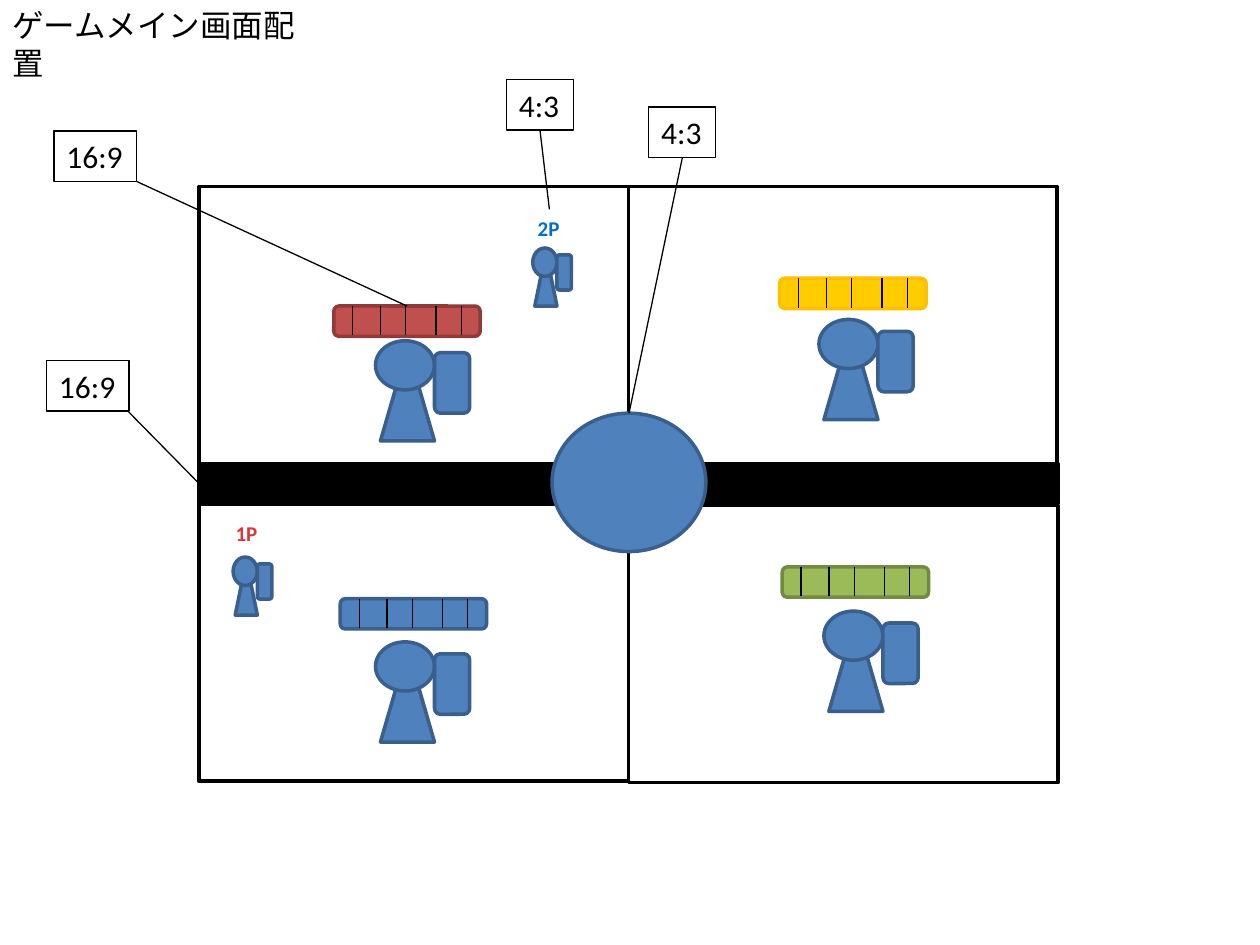
from pptx import Presentation
from pptx.dml.color import RGBColor
from pptx.enum.shapes import MSO_CONNECTOR, MSO_SHAPE
from pptx.enum.text import MSO_AUTO_SIZE
from pptx.oxml.ns import qn
from pptx.util import Cm, Pt
from lxml.etree import SubElement

COLORS = {
    "black": "000000", "white": "FFFFFF",
    "blue": "4F81BD", "blue_edge": "3A5F8C",
    "red": "C0504D", "red_edge": "8E3B39",
    "green": "9BBB59", "green_edge": "738A42",
    "yellow": "FFCC00", "yellow_edge": "FFC000",
    "player_one": "D73A36", "player_two": "0070C0",
}
TICKS = (0.38, 0.94, 1.45, 2.06, 2.57)


class ScreenLayout:
    """Draws the game screen's elements on one slide in a shared style."""

    font = "Calibri"

    def __init__(self, slide):
        self.slide = slide

    def color(self, name):
        return RGBColor.from_string(COLORS[name])

    def shape(self, kind, left, top, width, height, fill, edge, parent=None):
        shapes = (parent or self.slide).shapes
        item = shapes.add_shape(kind, Cm(left), Cm(top), Cm(width), Cm(height))
        item.shadow.inherit = False
        item.fill.solid()
        item.fill.fore_color.rgb = self.color(fill)
        item.line.color.rgb = self.color(edge)
        item.line.width = Pt(2)
        return item

    def panel(self, left, top, width=8.66, height=5.59, fill="white"):
        return self.shape(MSO_SHAPE.RECTANGLE, left, top, width, height, fill, "black")

    def line(self, start, end, parent=None):
        shapes = (parent or self.slide).shapes
        points = [Cm(value) for value in (*start, *end)]
        connector = shapes.add_connector(MSO_CONNECTOR.STRAIGHT, *points)
        connector.line.color.rgb = self.color("black")
        connector.line.width = Pt(0.75)
        properties = connector._element.find(qn("p:spPr"))
        SubElement(properties, qn("a:effectLst"))
        return connector

    def text(self, words, left, top, width, height, size=18, color="black",
             bold=False, wrap=False):
        box = self.slide.shapes.add_textbox(Cm(left), Cm(top), Cm(width), Cm(height))
        frame = box.text_frame
        frame.word_wrap = wrap
        frame.auto_size = MSO_AUTO_SIZE.SHAPE_TO_FIT_TEXT
        frame.text = words
        for span in frame.paragraphs[0].runs:
            span.font.name = self.font
            span.font.size = Pt(size)
            span.font.bold = bold
            span.font.color.rgb = self.color(color)
        return box

    def callout(self, words, left, top, width):
        box = self.text(words, left, top, width, 1.02)
        box.line.color.rgb = self.color("black")
        box.line.width = Pt(0.75)
        return box

    def player_tag(self, words, left, top, color):
        return self.text(words, left, top, 0.97, 0.76, 12, color, True)

    def figure(self, left, top, across=1, down=1):
        group = self.slide.shapes.add_group_shape()
        parts = (
            (MSO_SHAPE.ISOSCELES_TRIANGLE, 0.1, 0.14, 1.09, 1.88),
            (MSO_SHAPE.OVAL, 0, 0, 1.19, 0.99),
            (MSO_SHAPE.ROUNDED_RECTANGLE, 1.19, 0.24, 0.71, 1.22),
        )
        for kind, x, y, width, height in parts:
            self.shape(kind, left + x * across, top + y * down, width * across,
                       height * down, "blue", "blue_edge", group)

    def gauge(self, left, top, color):
        group = self.slide.shapes.add_group_shape()
        bar = self.shape(MSO_SHAPE.ROUNDED_RECTANGLE, left, top, 2.95, 0.61,
                         color, color + "_edge", group)
        for tick in TICKS:
            self.line((left + tick, top), (left + tick, top + 0.59), group)
        return bar


def main():
    deck = Presentation()
    deck.slide_width, deck.slide_height = Cm(25.4), Cm(19.05)
    page = ScreenLayout(deck.slides.add_slide(deck.slide_layouts[6]))

    page.panel(12.65, 3.76)
    page.text("ゲームメイン画面配置", 0, 0, 6.48, 1.02, wrap=True)
    page.panel(12.67, 10.19)
    divider = page.panel(4.01, 9.35, 17.32, 0.79, "black")
    page.panel(4.01, 3.76)
    page.panel(4.01, 10.16)
    center = page.shape(MSO_SHAPE.OVAL, 11.13, 8.33, 3.1, 2.79, "blue", "blue_edge")

    for left, top in ((7.57, 6.87), (16.51, 6.44), (7.57, 12.94), (16.61, 12.32)):
        page.figure(left, top)
    red_gauge = page.gauge(6.73, 6.17, "red")
    page.gauge(15.77, 11.43, "green")
    page.gauge(15.72, 5.61, "yellow")
    page.gauge(6.86, 12.07, "blue")
    for left, top in ((10.74, 5), (4.7, 11.23)):
        page.figure(left, top, 0.41, 0.58)

    page.player_tag("1P", 4.5, 10.36, "player_one")
    second_tag = page.player_tag("2P", 10.59, 4.22, "player_two")

    page.callout("16:9", 1.09, 2.64, 1.66)
    page.line((2.76, 3.66), (8.2, 6.17)).end_connect(red_gauge, 0)
    for left, top, target in ((10.21, 1.6, second_tag), (13.08, 2.16, center)):
        box = page.callout("4:3", left, top, 1.35)
        pointer = page.line((left, top), (left, top))
        pointer.begin_connect(box, 2)
        pointer.end_connect(target, 0)
    page.callout("16:9", 0.94, 7.27, 1.66)
    page.line((2.59, 8.3), (4.01, 9.74)).end_connect(divider, 1)

    deck.save("out.pptx")


if __name__ == "__main__":
    main()
